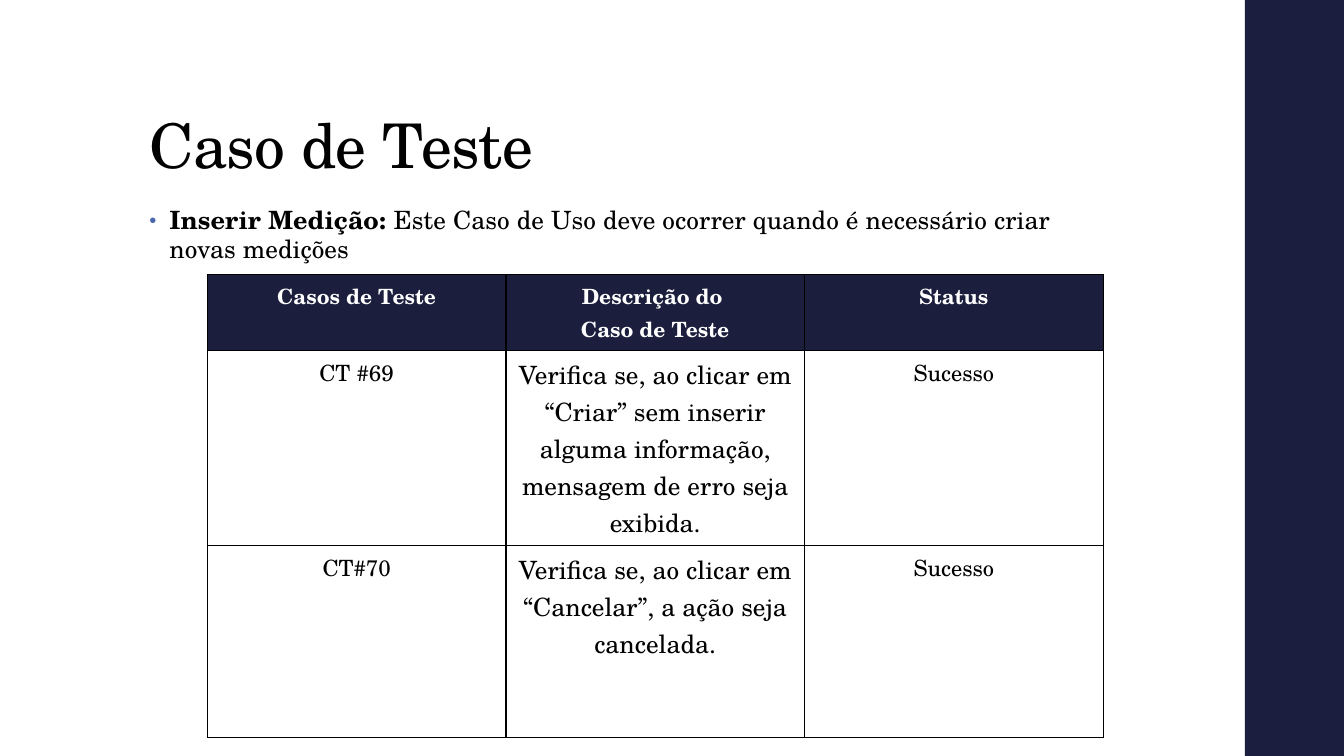
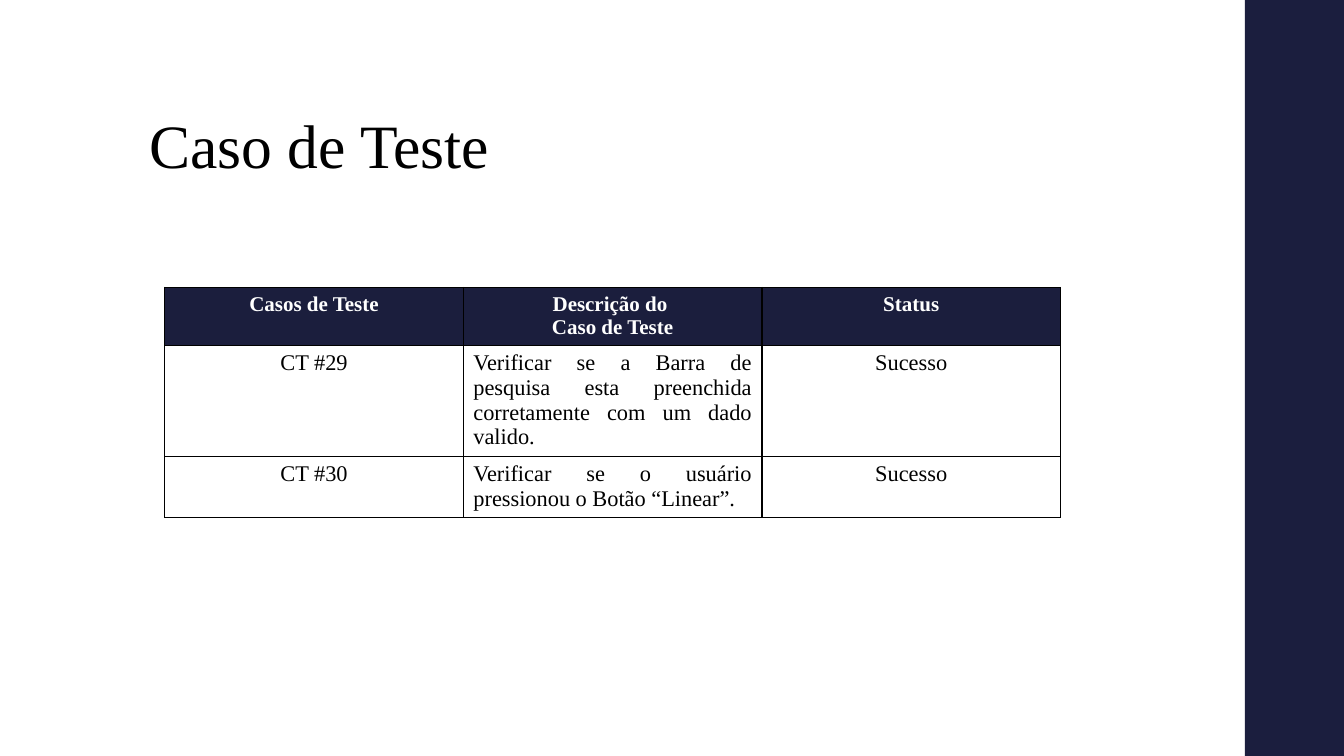
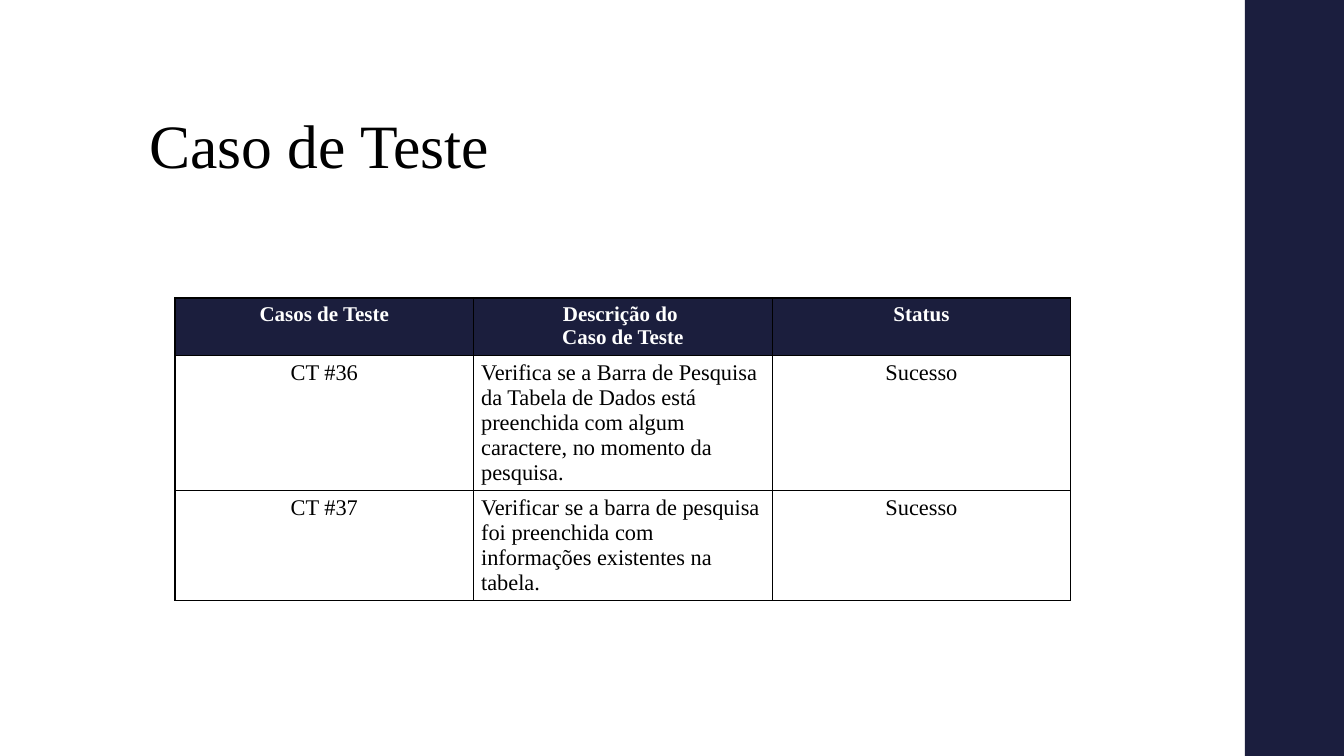
"""Build three test-case slides with a shared title style and side band."""
import pptx
import pptx.dml.color
import pptx.enum.shapes
import pptx.enum.text
import pptx.oxml
import pptx.oxml.ns
import pptx.util
from dataclasses import dataclass

Pt = pptx.util.Pt
qn = pptx.oxml.ns.qn
ALIGN = pptx.enum.text.PP_ALIGN
ANCHOR = pptx.enum.text.MSO_ANCHOR


@dataclass(frozen=True)
class Theme:
    band: str = "1B1E3E"
    header: str = "1B1E3D"
    paper: str = "FFFFFF"
    ink: str = "000000"
    bullet: str = "4A66AC"
    title_size: float = 44
    body_size: float = 18
    header_size: float = 15
    cell_size: float = 16


THEME = Theme()
SCHOLA, TIMES = "TeX Gyre Schola", "Times New Roman"
SLIDE_SIZE = (960, 540)
BAND_LEFT = 889.2
TITLE_AREA = (99.4, 28.8, 763.2, 104.4)
BODY_AREA = (99.4, 144, 676.8, 342.7)
BODY_TRACKING = 7
COLUMN_WIDTH = 213.3
LINE_WIDTH = 0.96
TITLE = "Caso de Teste"
HEADINGS = ["Casos de Teste", "Descrição do \nCaso de Teste", "Status"]

SLIDES = [
    dict(
        font=SCHOLA, title_tracking=-50, at=(148.1, 196.3),
        heights=(54.3, 139.3, 136.8), detail_size=THEME.body_size,
        detail_align=ALIGN.CENTER, detail_inset=7.2,
        body=[("Inserir Medição: ", True),
              ("Este Caso de Uso deve ocorrer quando é necessário criar novas medições", False)],
        rows=[("CT #69", "Verifica se, ao clicar em “Criar” sem inserir alguma informação, "
               "mensagem de erro seja exibida.", "Sucesso"),
              ("CT#70", "Verifica se, ao clicar em “Cancelar”, a ação seja cancelada.", "Sucesso")],
    ),
    dict(
        font=TIMES, title_tracking=0, at=(117.7, 205.4),
        heights=(41.2, 79.6, 43.2), detail_size=THEME.cell_size,
        detail_align=ALIGN.JUSTIFY, detail_inset=7.2, body=[],
        rows=[("CT #29", "Verificar se a Barra de pesquisa esta preenchida corretamente "
               "com um dado valido.", "Sucesso"),
              ("CT #30", "Verificar se o usuário pressionou o Botão “Linear”.", "Sucesso")],
    ),
    dict(
        font=TIMES, title_tracking=0, at=(125, 212.9),
        heights=(41, 96.4, 78.4), detail_size=THEME.cell_size,
        detail_align=ALIGN.LEFT, detail_inset=5.4, body=[],
        rows=[("CT #36", "Verifica se a Barra de Pesquisa da Tabela de Dados está preenchida "
               "com algum caractere, no momento da pesquisa.", "Sucesso"),
              ("CT #37", "Verificar se a barra de pesquisa foi preenchida com informações "
               "existentes na tabela.", "Sucesso")],
    ),
]


def rgb(value):
    return pptx.dml.color.RGBColor.from_string(value)


def apply(target, **values):
    for name, value in values.items():
        setattr(target, name, value)


def place(shape, area):
    apply(shape, **dict(zip(("left", "top", "width", "height"), map(Pt, area))))


def style_font(span, name, size, color, bold=False):
    apply(span.font, name=name, size=Pt(size), bold=bold)
    span.font.color.rgb = rgb(color)


def track(shape, hundredths):
    for properties in shape.element.iter(qn("a:rPr")):
        properties.set("spc", str(hundredths))


def xml(text):
    return pptx.oxml.parse_xml(text.replace(" ", f" {pptx.oxml.ns.nsdecls('a')} ", 1))


def prepare_master(deck, page):
    master = deck.slide_master
    for holder, area, anchor in zip(master.placeholders, (TITLE_AREA, BODY_AREA),
                                    (ANCHOR.BOTTOM, ANCHOR.TOP)):
        place(holder, area)
        apply(holder.text_frame, vertical_anchor=anchor, word_wrap=True,
              auto_size=pptx.enum.text.MSO_AUTO_SIZE.NONE)
    band = page.shapes.add_shape(pptx.enum.shapes.MSO_SHAPE.RECTANGLE, 0, 0, 0, 0)
    place(band, (BAND_LEFT, 0, SLIDE_SIZE[0] - BAND_LEFT, SLIDE_SIZE[1]))
    band.shadow.inherit = False
    band.fill.solid()
    band.fill.fore_color.rgb = rgb(THEME.band)
    band.line.fill.background()
    master.shapes.element.insert(2, band.element)


def add_title(page, data):
    title = page.shapes.title
    title.text_frame.text = TITLE
    para = title.text_frame.paragraphs[0]
    apply(para, alignment=ALIGN.LEFT, line_spacing=0.9)
    style_font(para.runs[0], data["font"], THEME.title_size, THEME.ink)
    track(title, data["title_tracking"])


def add_body(page, data):
    box = page.placeholders[1]
    para = box.text_frame.paragraphs[0]
    apply(para, alignment=ALIGN.LEFT, line_spacing=0.95, space_before=Pt(0))
    for properties in box.element.iter(qn("a:pPr")):
        properties.set("marL", str(Pt(14.4)))
        properties.set("indent", str(-Pt(14.4)))
        for part in (f'<a:buClr ><a:srgbClr val="{THEME.bullet}"/></a:buClr>',
                     '<a:buSzPct val="80000"/>', '<a:buChar char="•"/>'):
            properties.append(xml(part))
    for text, bold in data["body"]:
        span = para.add_run()
        span.text = text
        style_font(span, data["font"], THEME.body_size, THEME.ink, bold)
    track(box, BODY_TRACKING)


def add_borders(frame):
    for cell in frame.element.iter(qn("a:tc")):
        for side in "LRTB":
            cell.get_or_add_tcPr().append(xml(
                f'<a:ln{side} w="{Pt(LINE_WIDTH)}"><a:solidFill><a:srgbClr val="{THEME.ink}"/>'
                f'</a:solidFill></a:ln{side}>'))


def add_cases(page, data):
    rows = [HEADINGS, *data["rows"]]
    columns = len(HEADINGS)
    frame = page.shapes.add_table(len(rows), columns, *map(Pt, data["at"]),
                                  Pt(COLUMN_WIDTH * columns), Pt(sum(data["heights"])))
    table = frame.table
    apply(table, first_row=False, horz_banding=False)
    for column in table.columns:
        column.width = Pt(COLUMN_WIDTH)
    for row, height in zip(table.rows, data["heights"]):
        row.height = Pt(height)
    add_borders(frame)
    for row, texts in enumerate(rows):
        for column, text in enumerate(texts):
            heading, detail = row == 0, row > 0 and column == 1
            size = (THEME.header_size if heading else
                    data["detail_size"] if detail else THEME.cell_size)
            inset = Pt(data["detail_inset"] if detail else 7.2)
            cell = table.cell(row, column)
            apply(cell, margin_left=inset, margin_right=inset,
                  margin_top=Pt(3.6), margin_bottom=Pt(3.6))
            cell.fill.solid()
            cell.fill.fore_color.rgb = rgb(THEME.header if heading else THEME.paper)
            cell.text_frame.text = text
            for para in cell.text_frame.paragraphs:
                para.alignment = data["detail_align"] if detail else ALIGN.CENTER
                style_font(para.runs[0], data["font"], size,
                           THEME.paper if heading else THEME.ink, heading)


def main():
    deck = pptx.Presentation()
    apply(deck, slide_width=Pt(SLIDE_SIZE[0]), slide_height=Pt(SLIDE_SIZE[1]))
    for number, data in enumerate(SLIDES):
        page = deck.slides.add_slide(deck.slide_layouts[1 if data["body"] else 5])
        if number == 0:
            prepare_master(deck, page)
        add_title(page, data)
        if data["body"]:
            add_body(page, data)
        add_cases(page, data)
    deck.save("out.pptx")


if __name__ == "__main__":
    main()
